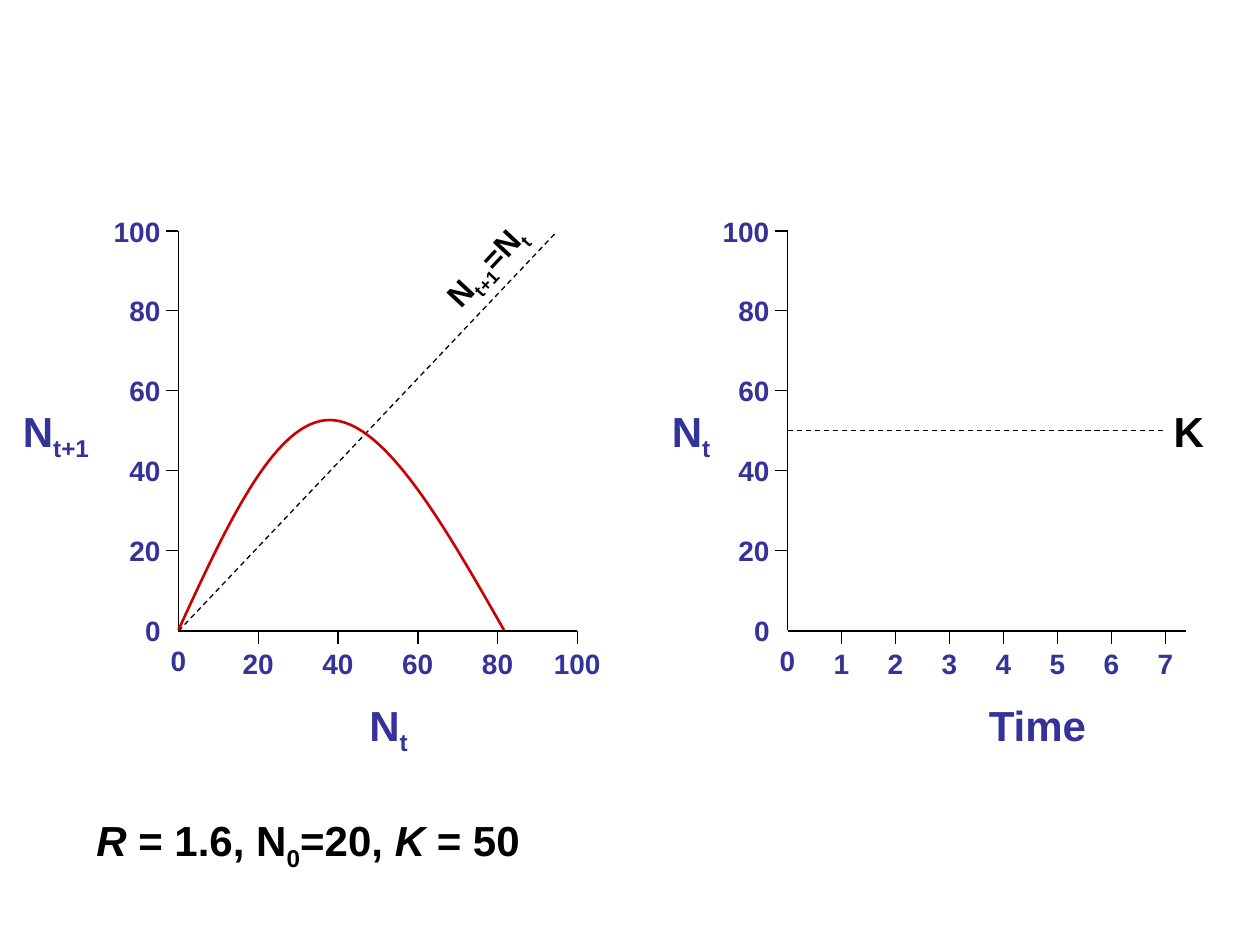
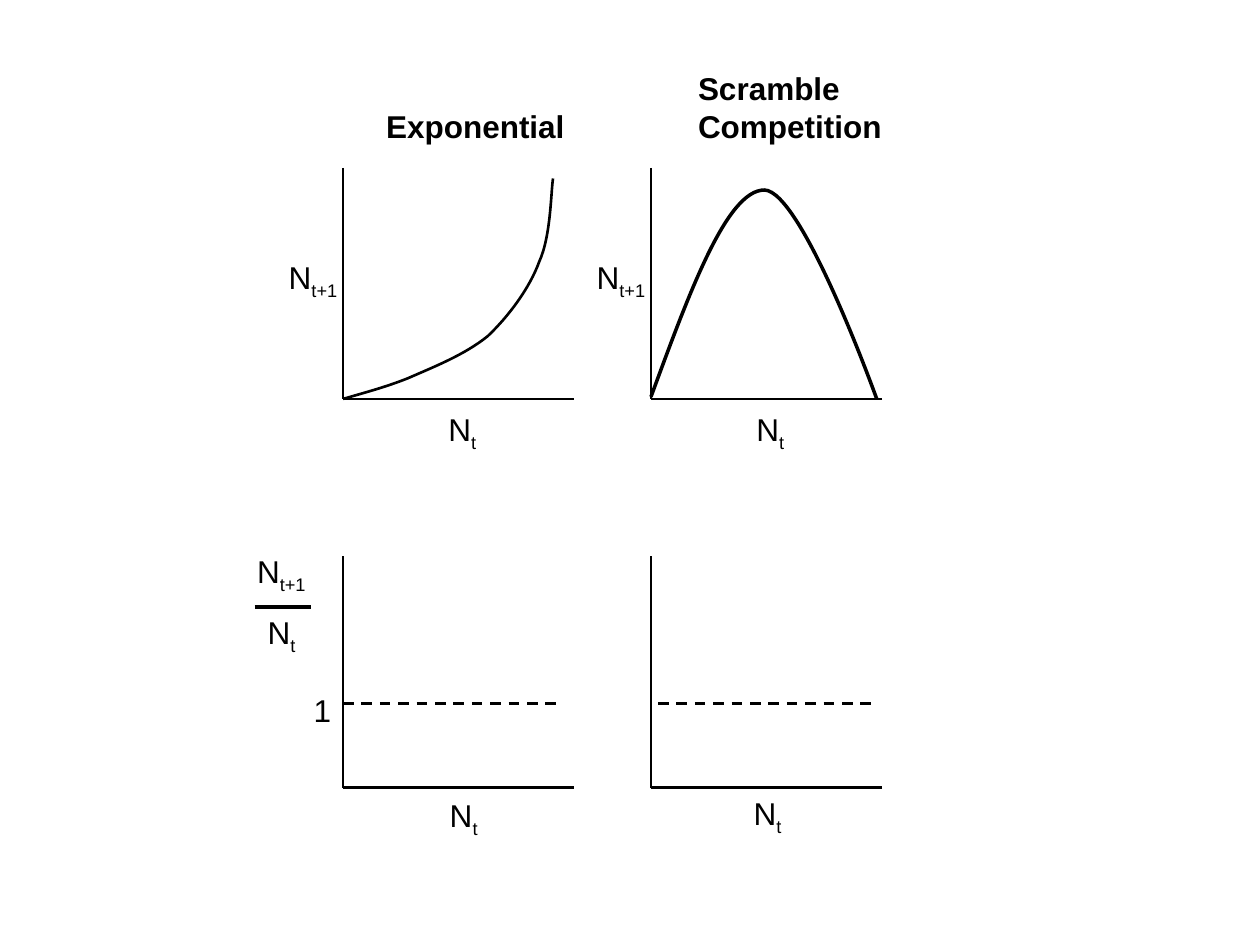
from lxml.etree import SubElement
from pptx import Presentation
from pptx.dml.color import RGBColor
from pptx.enum.dml import MSO_LINE
from pptx.enum.shapes import MSO_CONNECTOR
from pptx.enum.text import MSO_AUTO_SIZE
from pptx.oxml.ns import qn
from pptx.util import Inches, Pt

# Shared style and a grid of 120 columns by 90 rows
COLORS = {"ink": "000000", "scale": "333399", "curve": "CC0000"}
FONT = "Arial"
COLUMNS, ROWS = 120, 90
LINE_HEIGHTS = {16: 4.4, 18: 4.8, 24: 6}

# Runs are (text, style) pairs
N_T = [("N", ""), ("t", "sub")]
N_NEXT = [("N", ""), ("t+1", "sub")]


def cells(count):
    return Inches(count / 12)


def color(name):
    return RGBColor.from_string(COLORS[name])


def add_text(slide, left, top, width, paragraphs, size=18, ink="ink", bold=False, rotation=0):
    """Place one or more paragraphs, each a list of styled runs."""
    height = LINE_HEIGHTS[size] + 3.6 * (len(paragraphs) - 1)
    shape = slide.shapes.add_textbox(cells(left), cells(top), cells(width), cells(height))
    shape.rotation = rotation
    frame = shape.text_frame
    frame.word_wrap = False
    frame.auto_size = MSO_AUTO_SIZE.SHAPE_TO_FIT_TEXT
    for index, runs in enumerate(paragraphs):
        paragraph = frame.add_paragraph() if index else frame.paragraphs[0]
        for text, style in runs:
            run = paragraph.add_run()
            run.text = text
            run.font.name = FONT
            run.font.size = Pt(size)
            run.font.bold = bold
            run.font.italic = style == "italic"
            run.font.color.rgb = color(ink)
            if style == "sub":
                run.font._element.set("baseline", "-25000")


def add_line(slide, start, end, weight, dashed=False):
    line = slide.shapes.add_connector(
        MSO_CONNECTOR.STRAIGHT, *(cells(value) for value in (*start, *end)))
    line.line.color.rgb = color("ink")
    line.line.width = Pt(weight)
    if dashed:
        line.line.dash_style = MSO_LINE.DASH
    SubElement(line.element.spPr, qn("a:effectLst"))


def add_axes(slide, left, base, size, weight, drop=0):
    add_line(slide, (left, base - size), (left, base), weight)
    add_line(slide, (left + size, base + drop), (left, base + drop), weight)


def add_curve(slide, left, base, points, weight, ink="ink"):
    """Draw Bezier segments; points are (right, up) from the plot's origin."""
    start, *rest = [(cells(left + right), cells(base - up)) for right, up in points]
    builder = slide.shapes.build_freeform(*start)
    builder.add_line_segments(rest, close=False)
    shape = builder.convert_to_shape()
    shape.shadow.inherit = False
    shape.fill.background()
    shape.line.color.rgb = color(ink)
    shape.line.width = Pt(weight)
    # Every three straight segments become one cubic segment
    segments = list(shape.element.iter(qn("a:lnTo")))
    for first in range(0, len(segments), 3):
        cubic = segments[first]
        cubic.tag = qn("a:cubicBezTo")
        for segment in segments[first + 1:first + 3]:
            cubic.append(segment[0])
            segment.getparent().remove(segment)


def add_scale_label(slide, value, top, center=None, right=None):
    width = 2.35 + 1.5 * len(str(value))
    left = center - width / 2 if right is None else right - width
    add_text(slide, left, top, width, [[(str(value), "")]], 16, "scale", True)


def add_scaled_plot(slide, left, base, values, step):
    """Axes with a 0-100 vertical scale and the given horizontal scale."""
    size, tick, drop = 38, 1.2, 0.1
    add_axes(slide, left, base, size, 0.75, drop)
    for index, value in enumerate(values):
        column = left + index * step
        if index:
            add_line(slide, (column, base + drop), (column, base + drop + tick), 0.75)
        add_scale_label(slide, value, base + (0.96 if index else 0.72), center=column)
    for value in range(0, 101, 20):
        row = base - size * value / 100
        if value:
            add_line(slide, (left - tick, row), (left, row), 0.75)
        add_scale_label(slide, value, row - 2.2, right=left - 0.5)


def build_map_and_time_slide(slide):
    base, map_left, time_left = 60, 17, 75
    # Recruitment map
    add_scaled_plot(slide, map_left, base, range(0, 101, 20), 7.6)
    add_text(slide, 34, 66, 6.2, [N_T], 24, "scale", True)
    add_text(slide, 1, 38, 9.2, [N_NEXT], 24, "scale", True)
    add_line(slide, (map_left, base + 0.1), (53, 22.1), 0.75, dashed=True)
    add_text(slide, 40.3, 22.7, 12.1, [N_NEXT + [("=N", ""), ("t", "sub")]],
             bold=True, rotation=313.1)
    add_curve(slide, map_left, base,
              [(0, 0), (4.6, 10), (9.2, 20), (14.4, 20), (19.6, 20), (25.3, 10), (31, 0)],
              1.5, "curve")
    # Population over time
    add_scaled_plot(slide, time_left, base, range(8), 36 / 7)
    add_text(slide, 93, 66, 11.8, [[("Time", "")]], 24, "scale", True)
    add_text(slide, 62.8, 38, 6.2, [N_T], 24, "scale", True)
    add_line(slide, (time_left, 41), (111, 41), 0.75, dashed=True)
    add_text(slide, 110.6, 38, 5.3, [[("K", "")]], 24, bold=True)
    # Parameters
    parameters = [("R ", "italic"), ("= 1.6, N", ""), ("0", "sub"),
                  ("=20, ", ""), ("K ", "italic"), ("= 50", "")]
    add_text(slide, 8, 77, 43, [parameters], 24, bold=True)


def build_comparison_slide(slide):
    lefts, bases, size = (32.67, 62), (38, 75), 22
    exponential, scramble = lefts
    upper, lower = bases
    for base in bases:
        for left in lefts:
            add_axes(slide, left, base, size, 1.5)
    # Axis labels
    for left in lefts:
        add_text(slide, left + 8.85, upper + 0.5, 5.2, [N_T])
        add_text(slide, left - 6.35, 24, 7.4, [N_NEXT])
    add_text(slide, 41.65, lower + 0.25, 5.2, [N_T])
    add_text(slide, 70.6, lower, 5.2, [N_T])
    # Headings
    add_text(slide, 35.6, 9.6, 19.5, [[("Exponential", "")]], bold=True)
    add_text(slide, 65.3, 6, 19.9, [[("Scramble", "")], [("Competition", "")]], bold=True)
    # Growth curves
    add_curve(slide, exponential, upper,
              [(0, 0), (2, 0.6), (4, 1.1), (6.25, 2), (8.5, 3), (11.6, 4.2), (13.8, 6),
               (15.8, 7.9), (17.8, 10.6), (18.7, 13.1), (19.8, 15.5), (19.8, 19.7), (20, 21)],
              1.5)
    add_curve(slide, scramble, upper,
              [(0, 0.2), (3.6, 10), (7.2, 19.9), (10.8, 19.9),
               (14.4, 19.8), (21.5, 0), (21.5, 0)], 2)
    # Growth ratio and its reference level
    add_text(slide, 23.3, 52, 7.4, [N_NEXT])
    add_text(slide, 24.3, 57.8, 5.2, [N_T])
    add_line(slide, (24.25, 57.8), (29.65, 57.8), 2)
    for start in (exponential, scramble + 0.67):
        add_line(slide, (start, 67), (start + 21, 67), 1.5, dashed=True)
    add_text(slide, 28.7, 65.2, 4.1, [[("1", "")]])


def main():
    presentation = Presentation()
    presentation.slide_width = cells(COLUMNS)
    presentation.slide_height = cells(ROWS)
    blank = presentation.slide_layouts[6]
    for build in (build_map_and_time_slide, build_comparison_slide):
        build(presentation.slides.add_slide(blank))
    presentation.save("out.pptx")


if __name__ == "__main__":
    main()
